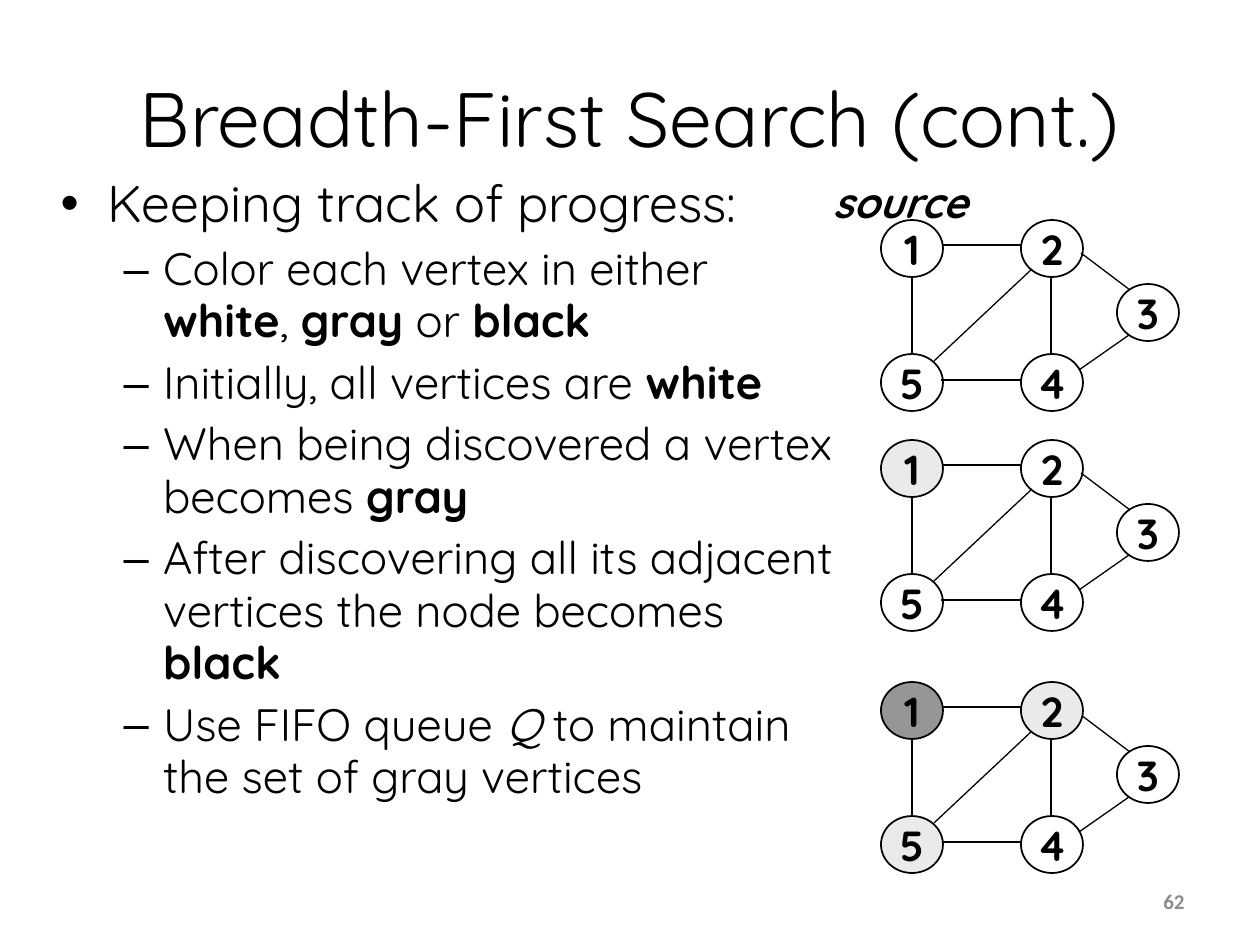
import pptx
import pptx.util
import pptx.dml.color
import pptx.enum.shapes
import pptx.enum.text
from lxml import etree

RGB = pptx.dml.color.RGBColor
BLACK = RGB(0x00, 0x00, 0x00)
LIGHT_GRAY = RGB(0xEA, 0xEA, 0xEA)
DARK_GRAY = RGB(0x96, 0x96, 0x96)
NUMBER_GRAY = RGB(0x8C, 0x8C, 0x8C)

ALIGN = pptx.enum.text.PP_ALIGN
MIDDLE = pptx.enum.text.MSO_ANCHOR.MIDDLE
PX_PER_INCH = 126
DRAWING_NS = "http://schemas.openxmlformats.org/drawingml/2006/main"


def px(*lengths):
    return [pptx.util.Inches(n / PX_PER_INCH) for n in lengths]


class SlideBuilder:
    font = "Quicksand"

    def __init__(self, slide):
        self.s = slide

    def run(self, p, text, size, bold=False, italic=False, color=BLACK, font=None):
        r = p.add_run()
        r.text = text
        r.font.name = font or self.font
        r.font.size = pptx.util.Pt(size)
        r.font.bold, r.font.italic = bold, italic
        r.font.color.rgb = color

    def place(self, sp, box):
        sp.left, sp.top, sp.width, sp.height = px(*box)
        sp.text_frame.auto_size = pptx.enum.text.MSO_AUTO_SIZE.NONE

    def title(self, text, box):
        sp = self.s.shapes.title
        self.place(sp, box)
        self.run(sp.text_frame.paragraphs[0], text, 44)

    def bullets(self, items, box):
        """Each item is (level, runs); a run is (text, style)."""
        sp = self.s.placeholders[1]
        self.place(sp, box)
        tf = sp.text_frame
        for i, (level, runs) in enumerate(items):
            p = tf.add_paragraph() if i else tf.paragraphs[0]
            p.level = level
            p.line_spacing = 0.96
            p.space_before = pptx.util.Pt(5.4 if i else 0)
            for text, style in runs:
                self.run(p, text, 25.9 if level else 29.6,
                         bold=style == "b", italic=style == "i")

    def label(self, text, box, size, align, wrap=False, anchor=None, **style):
        sp = self.s.shapes.add_textbox(*px(*box))
        tf = sp.text_frame
        tf.word_wrap = wrap
        tf.vertical_anchor = anchor
        p = tf.paragraphs[0]
        p.alignment = align
        self.run(p, text, size, **style)

    def node(self, text, x, y, fill=None):
        sp = self.s.shapes.add_shape(
            pptx.enum.shapes.MSO_SHAPE.OVAL, *px(x, y, 62, 57))
        sp.shadow.inherit = False
        if fill is None:
            sp.fill.background()
        else:
            sp.fill.solid()
            sp.fill.fore_color.rgb = fill
        sp.line.color.rgb = BLACK
        sp.line.width = pptx.util.Pt(1)
        tf = sp.text_frame
        tf.word_wrap = False
        tf.vertical_anchor = MIDDLE
        p = tf.paragraphs[0]
        p.alignment = ALIGN.CENTER
        self.run(p, text, 24, bold=True)

    def edge(self, x1, y1, x2, y2):
        line = self.s.shapes.add_connector(
            pptx.enum.shapes.MSO_CONNECTOR.STRAIGHT, *px(x1, y1, x2, y2))
        line.line.color.rgb = BLACK
        line.line.width = pptx.util.Pt(0.75)
        etree.SubElement(line._element.spPr, "{%s}effectLst" % DRAWING_NS)

    def graph(self, x, y, fills):
        for x1, y1, x2, y2 in EDGES:
            self.edge(x + x1, y + y1, x + x2, y + y2)
        for name, (dx, dy) in NODES.items():
            self.node(name, x + dx, y + dy, fills.get(name))


# Graph geometry, relative to the corner of vertex 1
NODES = {"1": (0, 0), "2": (140, 0), "3": (236, 64), "4": (140, 134), "5": (0, 134)}
EDGES = [
    (62, 25, 140, 25),    # 1-2
    (31, 57, 31, 134),    # 1-5
    (170, 57, 170, 134),  # 2-4
    (151, 49, 53, 141),   # 2-5
    (60, 160, 141, 160),  # 5-4
    (200, 33, 249, 70),   # 2-3
    (198, 150, 248, 115), # 4-3
]

# Search progress: top of each graph and its coloured vertices
STAGES = [
    (220, {}),
    (440, {"1": LIGHT_GRAY}),
    (682, {"1": DARK_GRAY, "2": LIGHT_GRAY, "5": LIGHT_GRAY}),
]

BULLETS = [
    (0, [("Keeping track of progress:", "")]),
    (1, [("Color each vertex in either ", ""), ("white", "b"), (", ", ""),
         ("gray", "b"), (" or ", ""), ("black", "b")]),
    (1, [("Initially, all vertices are ", ""), ("white", "b")]),
    (1, [("When being discovered a vertex becomes ", ""), ("gray", "b")]),
    (1, [("After discovering all its adjacent vertices the node becomes ", ""),
         ("black", "b")]),
    (1, [("Use FIFO queue ", ""), ("Q ", "i"),
         ("to maintain the set of gray vertices", "")]),
]


def main():
    prs = pptx.Presentation()
    prs.slide_width, prs.slide_height = px(1260, 945)
    b = SlideBuilder(prs.slides.add_slide(prs.slide_layouts[1]))

    # Title and list
    b.title("Breadth-First Search (cont.)", (63, 38, 1134, 158))
    b.bullets(BULLETS, (48, 168, 806, 699))

    # Graphs
    for top, fills in STAGES:
        b.graph(881, top, fills)
    b.label("source", (818, 170, 164, 63), 24, ALIGN.CENTER, bold=True, italic=True)

    # Slide number
    b.label("62", (903, 876, 294, 50), 12, ALIGN.RIGHT, wrap=True, anchor=MIDDLE,
            bold=True, color=NUMBER_GRAY, font="Calibri")

    prs.save("out.pptx")


if __name__ == "__main__":
    main()
